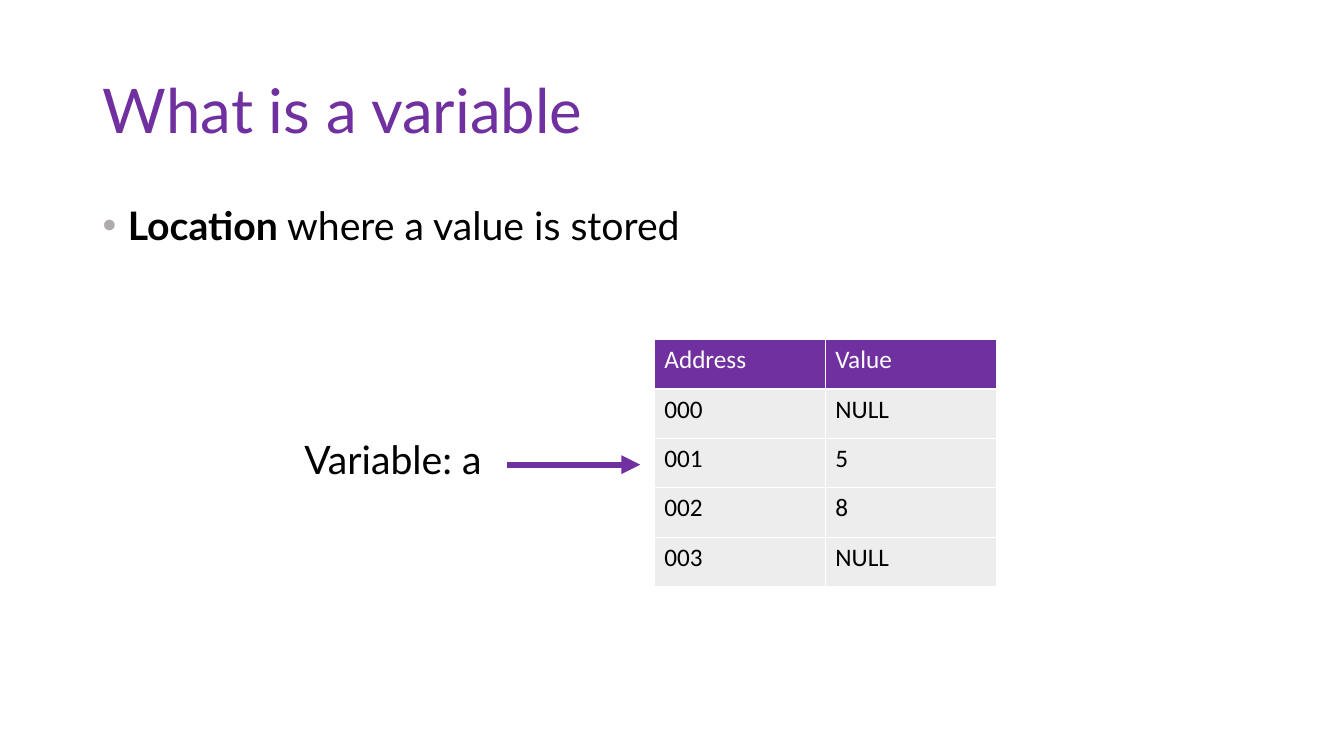
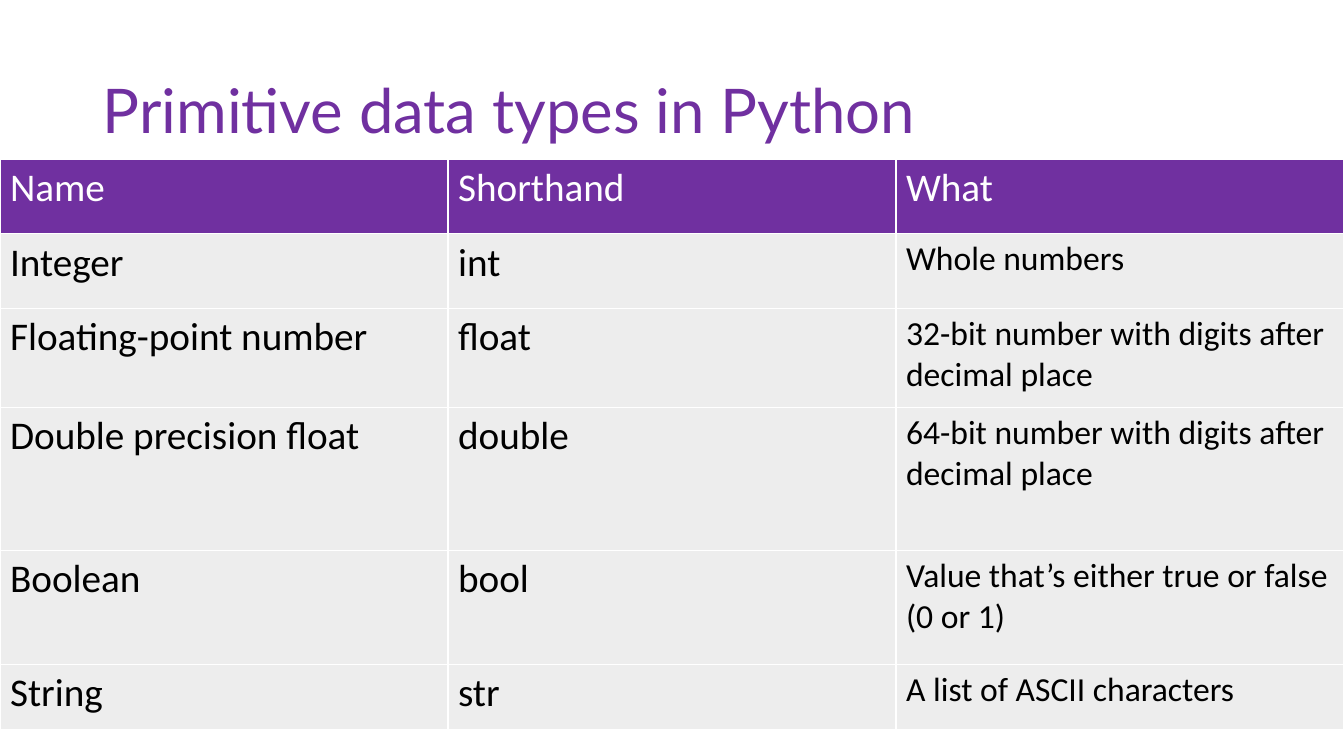
from lxml.etree import SubElement
from pptx import Presentation
from pptx.dml.color import RGBColor
from pptx.enum.shapes import MSO_CONNECTOR
from pptx.enum.text import MSO_ANCHOR, MSO_AUTO_SIZE, PP_ALIGN
from pptx.oxml.ns import qn
from pptx.util import Inches, Pt

PURPLE = RGBColor(0x70, 0x30, 0xA0)
BLACK = RGBColor(0x00, 0x00, 0x00)
WHITE = RGBColor(0xFF, 0xFF, 0xFF)
PALE_GREY = RGBColor(0xED, 0xED, 0xED)
BULLET_GREY = RGBColor(0xAF, 0xAB, 0xAB)
TEXT_FONT = "Lato"
TABLE_FONT = "Calibri"
WIDTH, HEIGHT = 13.33, 7.5
MARGIN = 0.92
CONTENT_WIDTH = WIDTH - 2 * MARGIN

MEMORY = [
    ("Address", "Value"),
    ("000", "NULL"),
    ("001", "5"),
    ("002", "8"),
    ("003", "NULL"),
]
DATA_TYPES = [
    ("Name", "Shorthand", "What"),
    ("Integer", "int", "Whole numbers"),
    ("Floating-point number", "float", "32-bit number with digits after decimal place"),
    ("Double precision float", "double", "64-bit number with digits after decimal place"),
    ("Boolean", "bool", "Value that’s either true or false (0 or 1)"),
    ("String", "str", "A list of ASCII characters"),
]


def add_run(p, text, size, color=BLACK, font=TEXT_FONT, bold=False):
    """Append one formatted run to a paragraph."""
    r = p.add_run()
    r.text = text
    r.font.name = font
    r.font.size = Pt(size)
    r.font.bold = bold
    r.font.color.rgb = color


def add_slide(prs, title):
    """Add a title-only slide with the shared title style."""
    s = prs.slides.add_slide(prs.slide_layouts[5])
    sp = s.shapes.title
    sp.left, sp.top = Inches(MARGIN), Inches(0.4)
    sp.width, sp.height = Inches(CONTENT_WIDTH), Inches(1.45)
    tf = sp.text_frame
    tf.auto_size = MSO_AUTO_SIZE.NONE
    tf.vertical_anchor = MSO_ANCHOR.MIDDLE
    p = tf.paragraphs[0]
    p.alignment = PP_ALIGN.LEFT
    p.line_spacing = 0.9
    add_run(p, title, 44, PURPLE)
    return s


def add_text(s, x, y, w, h, runs, spacing):
    """Add a wrapped paragraph made of (text, bold) runs and return it."""
    tf = s.shapes.add_textbox(Inches(x), Inches(y), Inches(w), Inches(h)).text_frame
    tf.word_wrap = True
    p = tf.paragraphs[0]
    p.line_spacing = spacing
    p.space_before = Pt(10)
    for text, bold in runs:
        add_run(p, text, 28, bold=bold)
    return p


def set_bullet(p):
    """Give a paragraph a grey bullet with a hanging indent."""
    pPr = p._p.get_or_add_pPr()
    pPr.set("marL", str(Inches(0.25)))
    pPr.set("indent", str(-Inches(0.25)))
    color = SubElement(pPr, qn("a:buClr"))
    SubElement(color, qn("a:srgbClr"), val=str(BULLET_GREY))
    SubElement(pPr, qn("a:buFont"), typeface="Arial")
    SubElement(pPr, qn("a:buChar"), char="•")


def add_table(s, x, y, w, heights, rows, sizes, head_size):
    """Add a table of equal columns with a purple header and one text size per column."""
    count = len(sizes)
    frame = s.shapes.add_table(len(rows), count, Inches(x), Inches(y), Inches(w), Inches(sum(heights)))
    table = frame.table
    table.horz_banding = False
    for col in table.columns:
        col.width = Inches(w / count)
    for i, (row, height) in enumerate(zip(rows, heights)):
        table.rows[i].height = Inches(height)
        fill, color = (PALE_GREY, BLACK) if i else (PURPLE, WHITE)
        for j, text in enumerate(row):
            cell = table.cell(i, j)
            cell.fill.solid()
            cell.fill.fore_color.rgb = fill
            size = sizes[j] if i else head_size
            add_run(cell.text_frame.paragraphs[0], text, size, color, TABLE_FONT)


def add_arrow(s, x1, x2, y):
    """Add a horizontal purple arrow."""
    line = s.shapes.add_connector(MSO_CONNECTOR.STRAIGHT, Inches(x1), Inches(y), Inches(x2), Inches(y))
    line.line.color.rgb = PURPLE
    line.line.width = Pt(4.5)
    SubElement(line.line._get_or_add_ln(), qn("a:tailEnd"), type="triangle")
    SubElement(line._element.spPr, qn("a:effectLst"))


def build_variable_slide(prs):
    """Show a variable pointing at a row of memory."""
    s = add_slide(prs, "What is a variable")
    runs = [("Location", True), (" where a value is stored", False)]
    set_bullet(add_text(s, MARGIN, 2, CONTENT_WIDTH, 4.76, runs, 0.9))
    add_table(s, 6.49, 3.37, 3.39, [0.49] * len(MEMORY), MEMORY, (18, 18), 18)
    add_text(s, 2.92, 4.36, 2.11, 0.5, [("Variable: a", False)], 0.8)
    add_arrow(s, 5.03, 6.35, 4.61)


def build_types_slide(prs):
    """List the primitive types in a full-width table."""
    s = add_slide(prs, "Primitive data types in Python")
    heights = [0.74, 0.74, 0.98, 1.42, 1.13, 0.65]
    add_table(s, 0, 1.58, WIDTH, heights, DATA_TYPES, (28, 28, 24), 28)


def main():
    """Build and save the presentation."""
    prs = Presentation()
    prs.slide_width, prs.slide_height = Inches(WIDTH), Inches(HEIGHT)
    build_variable_slide(prs)
    build_types_slide(prs)
    prs.save("out.pptx")


if __name__ == "__main__":
    main()
